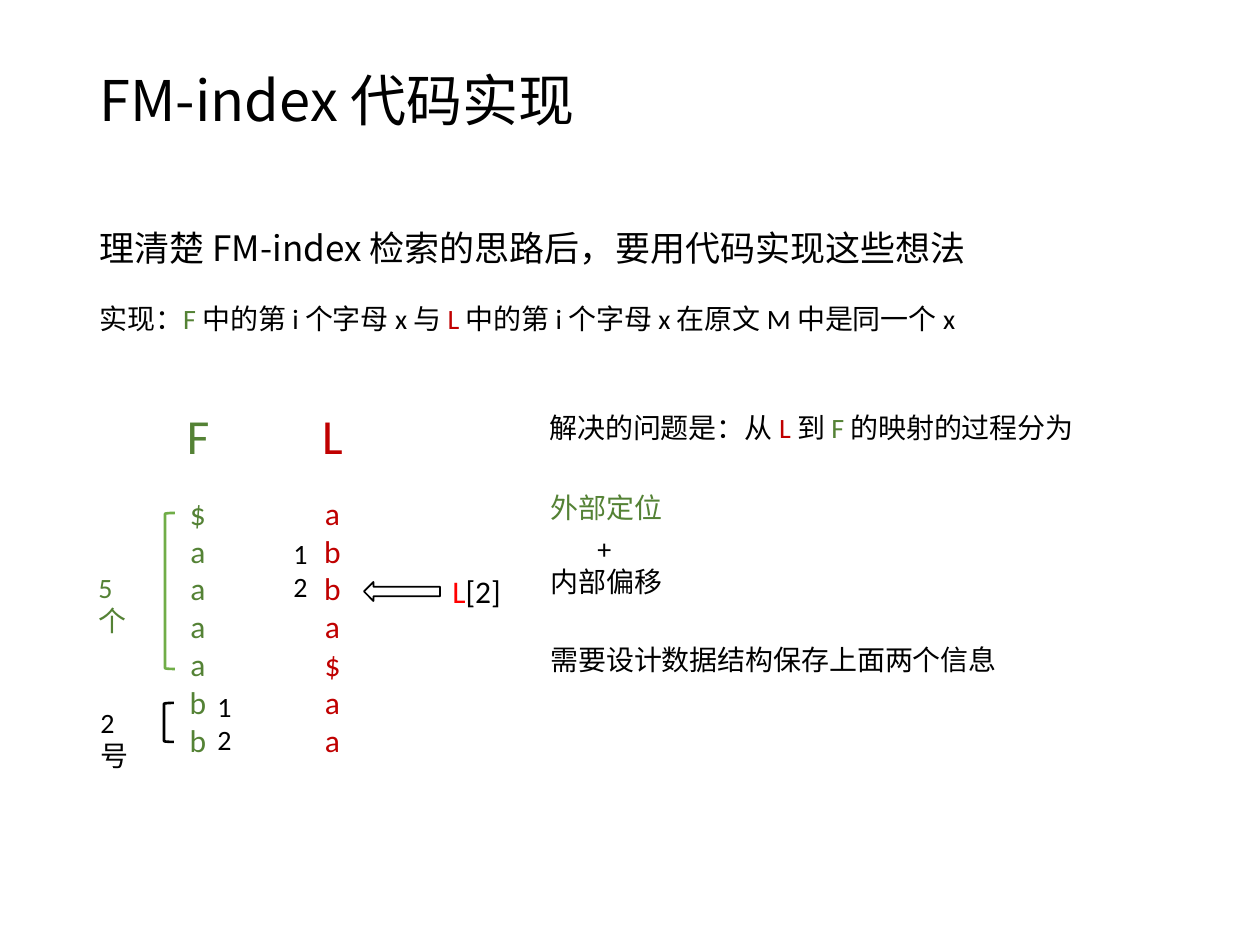
import pptx
import pptx.util
import pptx.dml.color
import pptx.enum.lang
import pptx.enum.shapes
import pptx.enum.text
import pptx.oxml.ns
from lxml import etree

SHAPE = pptx.enum.shapes.MSO_SHAPE
ALIGN = pptx.enum.text.PP_ALIGN
ANCHOR = pptx.enum.text.MSO_ANCHOR
FIT = pptx.enum.text.MSO_AUTO_SIZE
PX = 914400 // 126


class Theme:
    latin, cjk = "Calibri", "Noto Sans CJK SC"
    black, white, red, bright = "000000", "FFFFFF", "C00000", "FF0000"
    green, bracket = "548235", "70AD47"
    title, lead, header, letter, body = 32, 20, 28, 18, 16


# Content: each paragraph is a list of (text, colour) runs
TITLE = [("FM-index 代码实现", Theme.black)]
LEAD = [("理清楚 FM-index 检索的思路后，要用代码实现这些想法", Theme.black)]
RULE = [("实现：", Theme.black), ("F ", Theme.green),
        ("中的第 i 个字母 x 与 ", Theme.black), ("L ", Theme.red),
        ("中的第 i 个字母 x 在原文 M 中是同一个 x", Theme.black)]
PROBLEM = [("解决的问题是：从 ", Theme.black), ("L ", Theme.red),
           ("到 ", Theme.black), ("F ", Theme.green),
           ("的映射的过程分为", Theme.black)]
POINTER = [("L", Theme.bright), ("[2]", Theme.black)]
RANKS = [[(n, Theme.black)] for n in "12"]

# header, letters, colour, left, width
COLUMNS = [("L", "abba$aa", Theme.red, 309, 47),
           ("F", "$aaaabb", Theme.green, 174, 48)]
COLUMN_TOP, COLUMN_H = 399, 375
RANK_SPOTS = [(281, 530), (205, 683)]
# left, top, height, colour
BRACKETS = [(165, 513, 156, Theme.bracket), (164, 703, 39, Theme.black)]
# text, colour, left, top
COUNTS = [("5 个", Theme.green, 86, 564), ("2 号", Theme.black, 88, 699)]
# text, colour, top, width
STEPS = [("外部定位", Theme.green, 484, 139),
         ("需要设计数据结构保存上面两个信息", Theme.black, 636, 478)]
STEP_LEFT = 538


def rgb(value):
    return pptx.dml.color.RGBColor.from_string(value)


def box(s, place, paragraphs, size=Theme.body, font=Theme.latin,
        wrap=False, grow=True):
    tf = s.shapes.add_textbox(*(v * PX for v in place)).text_frame
    tf.word_wrap = wrap
    tf.auto_size = FIT.SHAPE_TO_FIT_TEXT if grow else FIT.NONE
    for i, runs in enumerate(paragraphs):
        p = tf.paragraphs[0] if i == 0 else tf.add_paragraph()
        for text, colour in runs:
            r = p.add_run()
            r.text = text
            r.font.name = font
            r.font.size = pptx.util.Pt(size)
            r.font.color.rgb = rgb(colour)
            r.font.language_id = pptx.enum.lang.MSO_LANGUAGE_ID.SIMPLIFIED_CHINESE
            ea = etree.SubElement(r.font._element, pptx.oxml.ns.qn("a:ea"))
            ea.set("typeface", Theme.cjk)
    return tf


def outline(s, kind, place, colour, width, fill=None):
    sp = s.shapes.add_shape(kind, *(v * PX for v in place))
    sp.shadow.inherit = False
    if fill:
        sp.fill.solid()
        sp.fill.fore_color.rgb = rgb(fill)
    else:
        sp.fill.background()
    sp.line.color.rgb = rgb(colour)
    sp.line.width = pptx.util.Pt(width)


def letter_column(s, header, letters, colour, left, width):
    rows = [[(c, colour)] for c in header + letters]
    tf = box(s, (left, COLUMN_TOP, width, COLUMN_H), rows, Theme.letter)
    for p in tf.paragraphs:
        p.alignment = ALIGN.CENTER
    tf.paragraphs[0].runs[0].font.size = pptx.util.Pt(Theme.header)
    tf.paragraphs[1].space_before = pptx.util.Pt(17)


def main():
    prs = pptx.Presentation()
    prs.slide_width, prs.slide_height = 1260 * PX, 945 * PX
    s = prs.slides.add_slide(prs.slide_layouts[6])

    # Title and introduction
    tf = box(s, (87, 50, 1086, 107), [TITLE], Theme.title, Theme.cjk, True, False)
    tf.vertical_anchor = ANCHOR.MIDDLE
    tf.paragraphs[0].line_spacing = 0.9
    tf = box(s, (87, 199, 1086, 169), [LEAD], Theme.lead, Theme.cjk, True, False)
    tf.paragraphs[0].line_spacing = 1.5
    tf.paragraphs[0].space_before = pptx.util.Pt(10)
    box(s, (87, 295, 1086, 47), [RULE], wrap=True)

    # F and L columns with ranks, brackets and counts
    for column in COLUMNS:
        letter_column(s, *column)
    for left, top in RANK_SPOTS:
        box(s, (left, top, 40, 81), RANKS)
    for left, top, height, colour in BRACKETS:
        outline(s, SHAPE.LEFT_BRACKET, (left, top, 10, height), colour, 1.5)
    for text, colour, left, top in COUNTS:
        box(s, (left, top, 72, 47), [[(text, colour)]], wrap=True)

    # Pointer to L[2]
    outline(s, SHAPE.LEFT_ARROW, (364, 582, 76, 19), Theme.black, 1, Theme.white)
    box(s, (440, 566, 76, 50), [POINTER], Theme.letter)

    # Explanation
    box(s, (537, 404, 557, 81), [PROBLEM], wrap=True)
    for text, colour, top, width in STEPS:
        box(s, (STEP_LEFT, top, width, 47), [[(text, colour)]])
    tf = box(s, (STEP_LEFT, 525, 139, 81),
             [[("+ ", Theme.black)], [("内部偏移", Theme.black)]])
    tf.paragraphs[0].alignment = ALIGN.CENTER

    prs.save("out.pptx")


if __name__ == "__main__":
    main()
